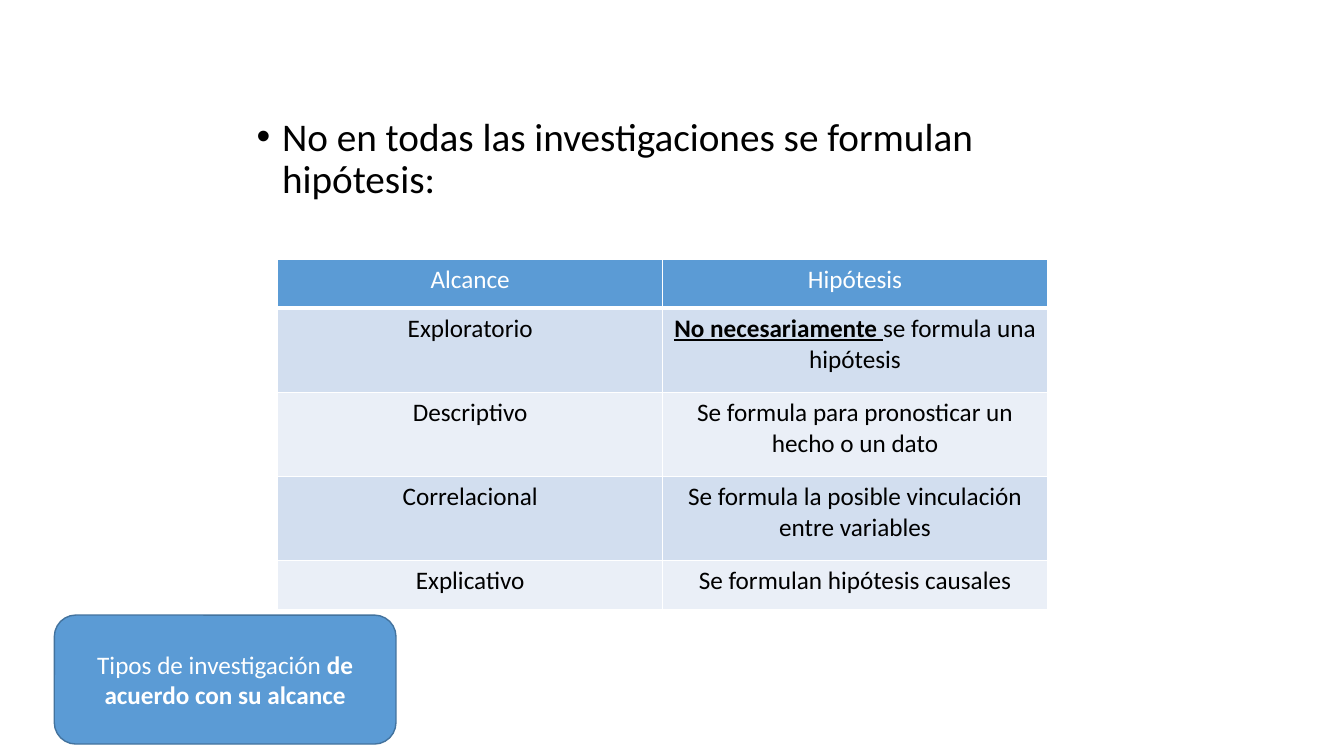
from lxml import etree
from pptx import Presentation
from pptx.dml.color import RGBColor
from pptx.enum.shapes import MSO_SHAPE
from pptx.enum.text import MSO_ANCHOR, PP_ALIGN
from pptx.oxml.ns import qn
from pptx.util import Cm, Pt

WHITE = RGBColor(0xFF, 0xFF, 0xFF)
BLACK = RGBColor(0x00, 0x00, 0x00)
BLUE = RGBColor(0x5B, 0x9B, 0xD5)
DARK_BLUE = RGBColor(0x43, 0x73, 0x9E)
BAND_DARK = RGBColor(0xD2, 0xDE, 0xEF)
BAND_LIGHT = RGBColor(0xEA, 0xEF, 0xF7)
CENTER = PP_ALIGN.CENTER
MIDDLE = MSO_ANCHOR.MIDDLE
ROUNDED = MSO_SHAPE.ROUNDED_RECTANGLE

# Each cell is a list of runs: (text, bold, underlined)
TABLE_ROWS = [
    ([("Alcance", False, False)], [("Hipótesis", False, False)]),
    ([("Exploratorio", False, False)],
     [("No necesariamente ", True, True), ("se formula una hipótesis", False, False)]),
    ([("Descriptivo", False, False)],
     [("Se formula para pronosticar un hecho o un dato", False, False)]),
    ([("Correlacional", False, False)],
     [("Se formula la posible vinculación entre variables", False, False)]),
    ([("Explicativo", False, False)], [("Se formulan hipótesis causales", False, False)]),
]
ROW_HEIGHTS = [1.23, 2.12, 2.12, 2.12, 1.23]
CAPTION = [("Tipos de investigación ", False, False),
           ("de acuerdo con su alcance", True, False)]


class SlideBuilder:
    font_name = "Calibri"
    body_size = 18
    heading_size = 28

    def __init__(self, slide):
        self.slide = slide

    def style(self, paragraph, size, color):
        paragraph.font.name = self.font_name
        paragraph.font.size = Pt(size)
        paragraph.font.color.rgb = color

    def write_centered(self, paragraph, runs, color):
        paragraph.alignment = CENTER
        self.style(paragraph, self.body_size, color)
        for text, bold, underlined in runs:
            run = paragraph.add_run()
            run.text = text
            run.font.bold = bold
            run.font.underline = underlined

    def bullet(self, text, left, top, width, height):
        box = self.slide.shapes.add_textbox(Cm(left), Cm(top), Cm(width), Cm(height))
        box.text_frame.word_wrap = True
        paragraph = box.text_frame.paragraphs[0]
        paragraph.text = text
        paragraph.line_spacing = 0.9
        properties = paragraph._p.get_or_add_pPr()
        indent = Cm(0.64)
        properties.set("marL", str(indent))
        properties.set("indent", str(-indent))
        etree.SubElement(properties, qn("a:buFont"), typeface="Arial")
        etree.SubElement(properties, qn("a:buChar"), char="•")
        self.style(paragraph, self.heading_size, BLACK)

    def border(self, cell, side, points):
        line = etree.SubElement(cell._tc.get_or_add_tcPr(), qn(f"a:ln{side}"),
                                w=str(Pt(points)))
        fill = etree.SubElement(line, qn("a:solidFill"))
        etree.SubElement(fill, qn("a:srgbClr"), val=str(WHITE))

    def table(self, rows, row_heights, left, top, width):
        column_count = len(rows[0])
        frame = self.slide.shapes.add_table(len(rows), column_count, Cm(left), Cm(top),
                                            Cm(width), Cm(sum(row_heights)))
        table = frame.table
        for column in table.columns:
            column.width = Cm(width / column_count)
        for row_index, (cells, height) in enumerate(zip(rows, row_heights)):
            table.rows[row_index].height = Cm(height)
            is_header = row_index == 0
            band = BAND_DARK if row_index % 2 else BAND_LIGHT
            for column_index, runs in enumerate(cells):
                cell = table.cell(row_index, column_index)
                # The header rule is thicker and shared with the row below
                for side in "LRTB":
                    thick = (row_index, side) in ((0, "B"), (1, "T"))
                    self.border(cell, side, 3 if thick else 1)
                cell.fill.solid()
                cell.fill.fore_color.rgb = BLUE if is_header else band
                self.write_centered(cell.text_frame.paragraphs[0], runs,
                                    WHITE if is_header else BLACK)
                # Regular weight in every row, header included
        table.first_row = False
        table.horz_banding = False

    def rounded_box(self, runs, left, top, width, height):
        shape = self.slide.shapes.add_shape(ROUNDED, Cm(left), Cm(top),
                                            Cm(width), Cm(height))
        shape.shadow.inherit = False
        shape.fill.solid()
        shape.fill.fore_color.rgb = BLUE
        shape.line.color.rgb = DARK_BLUE
        shape.line.width = Pt(1)
        shape.text_frame.word_wrap = True
        shape.text_frame.vertical_anchor = MIDDLE
        self.write_centered(shape.text_frame.paragraphs[0], runs, WHITE)


def main():
    presentation = Presentation()
    presentation.slide_width = Cm(33.87)
    presentation.slide_height = Cm(19.05)
    builder = SlideBuilder(presentation.slides.add_slide(presentation.slide_layouts[6]))

    # Heading
    builder.bullet("No en todas las investigaciones se formulan hipótesis:",
                   6.22, 2.84, 21.9, 12.09)
    # Scope and hypothesis table
    builder.table(TABLE_ROWS, ROW_HEIGHTS, 7, 6.54, 19.4)
    # Caption box
    builder.rounded_box(CAPTION, 1.37, 15.5, 8.61, 3.25)

    presentation.save("out.pptx")


if __name__ == "__main__":
    main()
